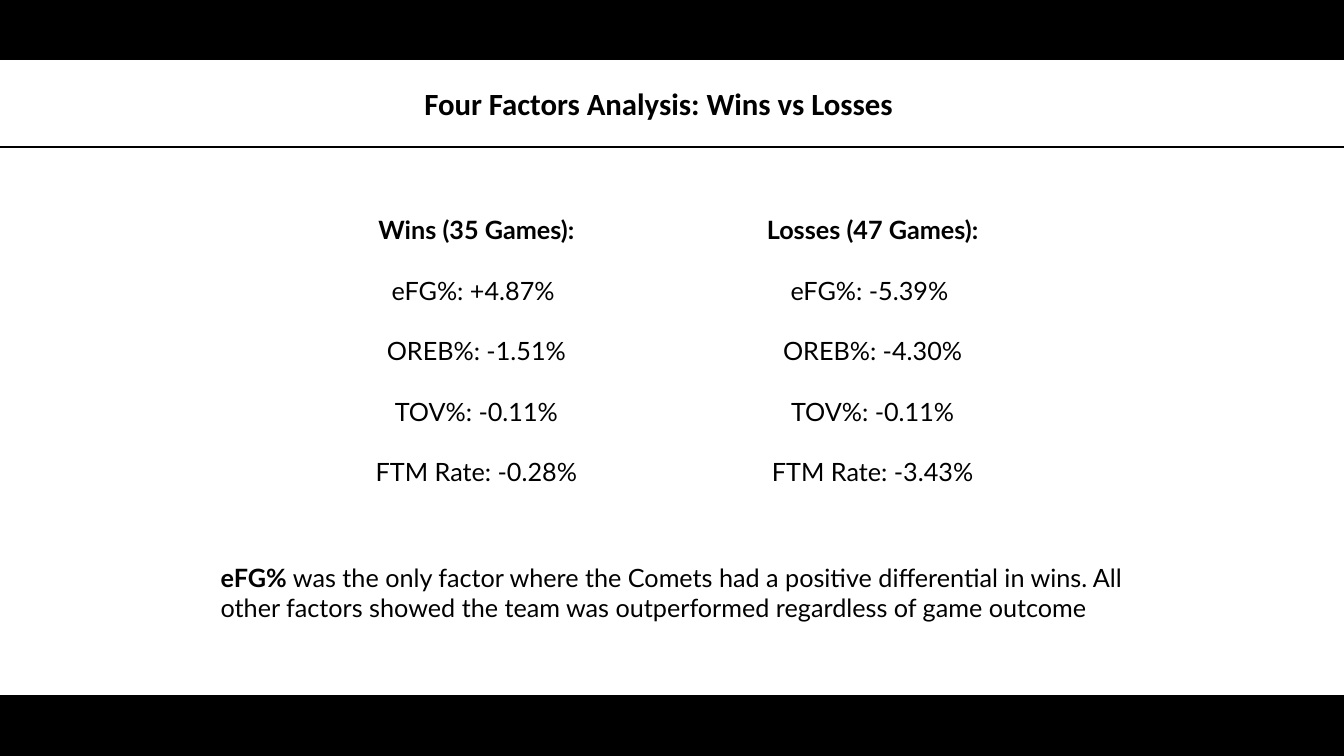
"""Build the four factors slide comparing wins and losses."""
import dataclasses

import lxml.etree
import pptx
import pptx.dml.color
import pptx.enum.shapes
import pptx.enum.text
import pptx.oxml.ns
import pptx.util

Inches = pptx.util.Inches
Pt = pptx.util.Pt
ALIGN = pptx.enum.text.PP_ALIGN
BLACK = "000000"
WIDTH, HEIGHT = 13.33, 7.5
BAND_HEIGHT = 0.59
RULE_TOP = 1.46
LINE_WIDTH = 1.5


@dataclasses.dataclass(frozen=True)
class Run:
    text: str
    bold: bool = False


@dataclasses.dataclass(frozen=True)
class TextBlock:
    left: float
    top: float
    width: float
    height: float
    paragraphs: list[list[Run]]
    font: str = "Lato"
    size: float = 18
    align: ALIGN = ALIGN.LEFT
    gap: float = 0


def rgb(value: str) -> pptx.dml.color.RGBColor:
    return pptx.dml.color.RGBColor.from_string(value)


def factors(heading: str, *values: str) -> list[list[Run]]:
    return [[Run(heading, True)]] + [[Run(value)] for value in values]


def add_band(s: pptx.slide.Slide, top: float) -> None:
    sp = s.shapes.add_shape(
        pptx.enum.shapes.MSO_SHAPE.RECTANGLE,
        Inches(0), Inches(top), Inches(WIDTH), Inches(BAND_HEIGHT))
    sp.shadow.inherit = False
    sp.fill.solid()
    sp.fill.fore_color.rgb = rgb(BLACK)
    sp.line.color.rgb = rgb(BLACK)
    sp.line.width = Pt(LINE_WIDTH)


def add_rule(s: pptx.slide.Slide, top: float) -> None:
    rule = s.shapes.add_connector(
        pptx.enum.shapes.MSO_CONNECTOR.STRAIGHT,
        Inches(0), Inches(top), Inches(WIDTH), Inches(top))
    rule.line.color.rgb = rgb(BLACK)
    rule.line.width = Pt(LINE_WIDTH)
    lxml.etree.SubElement(rule._element.spPr, pptx.oxml.ns.qn("a:effectLst"))


def add_text(s: pptx.slide.Slide, block: TextBlock) -> None:
    sp = s.shapes.add_textbox(
        Inches(block.left), Inches(block.top), Inches(block.width), Inches(block.height))
    tf = sp.text_frame
    tf.word_wrap = True
    for i, runs in enumerate(block.paragraphs):
        p = tf.add_paragraph() if i else tf.paragraphs[0]
        p.alignment = block.align
        p.space_before = Pt(block.gap if i else 0)
        for run in runs:
            r = p.add_run()
            r.text = run.text
            r.font.name = block.font
            r.font.size = Pt(block.size)
            r.font.bold = run.bold
            r.font.color.rgb = rgb(BLACK)


TEXTS = [
    TextBlock(4.11, 0.79, 5.11, 0.47,
              [[Run("Four Factors Analysis: Wins vs Losses", True)]], "Calibri", 22),
    TextBlock(3.54, 2.08, 2.37, 2.83,
              factors("Wins (35 Games):", "eFG%: +4.87% ", "OREB%: -1.51%",
                      "TOV%: -0.11%", "FTM Rate: -0.28%"),
              align=ALIGN.CENTER, gap=21.6),
    TextBlock(7.42, 2.08, 2.47, 2.83,
              factors("Losses (47 Games):", "eFG%: -5.39% ", "OREB%: -4.30%",
                      "TOV%: -0.11%", "FTM Rate: -3.43%"),
              align=ALIGN.CENTER, gap=21.6),
    TextBlock(2.09, 5.53, 9.31, 1.01,
              [[Run("eFG% ", True),
                Run("was the only factor where the Comets had a positive differential "
                    "in wins. All other factors showed the team was outperformed "
                    "regardless of game outcome")]]),
]


def main() -> None:
    prs = pptx.Presentation()
    prs.slide_width = Inches(WIDTH)
    prs.slide_height = Inches(HEIGHT)
    s = prs.slides.add_slide(prs.slide_layouts[6])
    for top in (0, HEIGHT - BAND_HEIGHT):
        add_band(s, top)
    add_rule(s, RULE_TOP)
    for block in TEXTS:
        add_text(s, block)
    prs.save("out.pptx")


if __name__ == "__main__":
    main()
